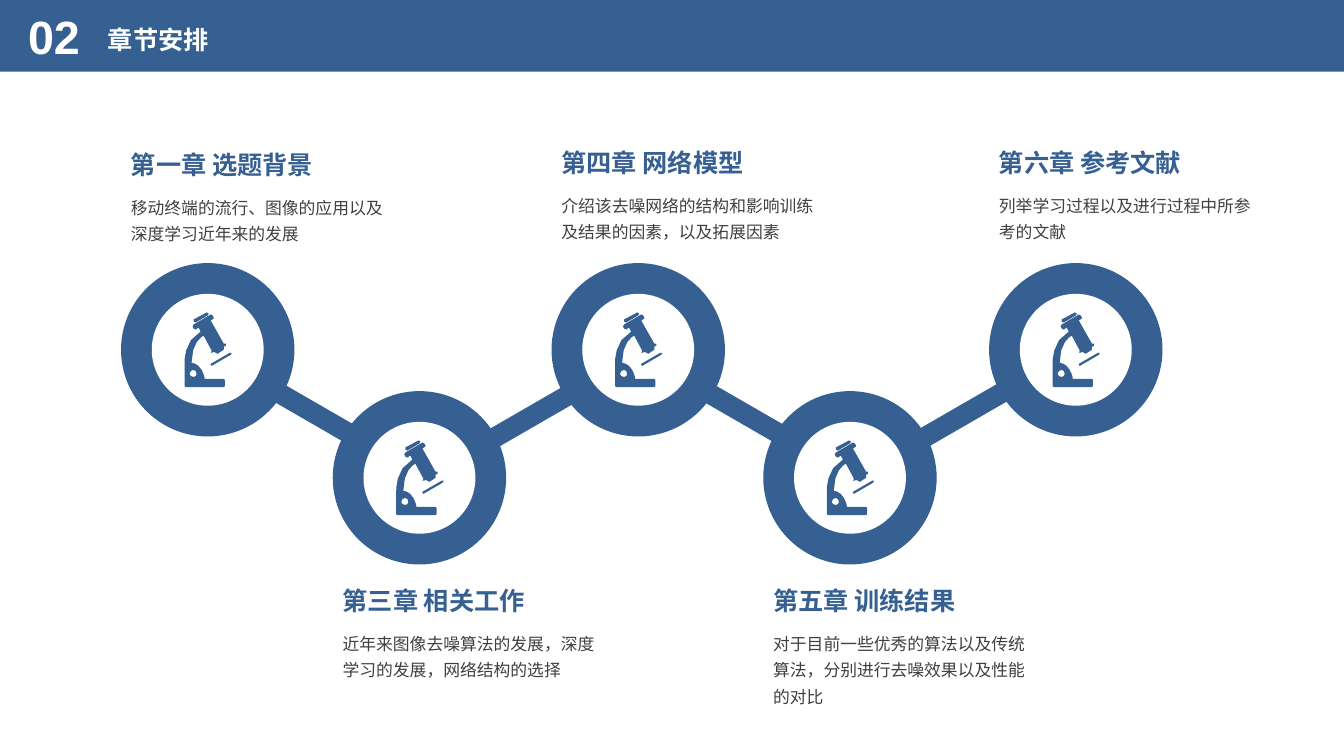
from math import ceil, dist

from pptx import Presentation
from pptx.dml.color import RGBColor
from pptx.enum.shapes import MSO_SHAPE
from pptx.enum.text import MSO_ANCHOR, MSO_AUTO_SIZE, PP_ALIGN
from pptx.util import Inches, Pt

BLUE, WHITE, GREY = "376092", "FFFFFF", "404040"
NUMBER, TITLE = "02", "章节安排"

CHAPTERS = [
    ("第一章 选题背景", "移动终端的流行、图像的应用以及深度学习近年来的发展", 1.2, 2.61, 1.43, 0.63),
    ("第三章 相关工作", "近年来图像去噪算法的发展，深度学习的发展，网络结构的选择", 3.3, 3.88, 5.76, 0.63),
    ("第四章 网络模型", "介绍该去噪网络的结构和影响训练及结果的因素，以及拓展因素", 5.47, 2.61, 1.41, 0.63),
    ("第五章 训练结果", "对于目前一些优秀的算法以及传统算法，分别进行去噪效果以及性能的对比", 7.57, 3.88, 5.76, 0.89),
    ("第六章 参考文献", "列举学习过程以及进行过程中所参考的文献", 9.81, 2.61, 1.41, 0.63),
]
RODS = [(2.6, 30), (4.81, 330), (6.86, 30), (9.07, 330)]

EYEPIECE = [(12, 9), (14, 10), (26, 3), (27, 1), (25, 0), (12, 7)]
PIVOT = [(12, 57), (14, 57, 15, 59, 15, 61), (15, 63, 14, 64, 12, 64),
         (10, 64, 8, 63, 8, 61), (8, 59, 10, 57, 12, 57)]
BODY = [(3, 50), (3, 73), (4, 74), (42, 74), (43, 73), (43, 67), (42, 66), (23, 66),
        (23, 64, 22, 61, 20, 57), (16, 50, 10, 50, 10, 50), (10, 30, 20, 24, 22, 23),
        (30, 38), (29, 40), (31, 40), (32, 39), (36, 41), (42, 37), (42, 34), (44, 33),
        (44, 31), (42, 31), (29, 8), (32, 6), (32, 5), (31, 3), (29, 2), (12, 12),
        (11, 14), (12, 16), (14, 17), (17, 15), (19, 19), (2, 28, 3, 50, 3, 50)]
STAGE = [(29, 52), (30, 53), (49, 42), (50, 40), (48, 40), (29, 51)]
MICROSCOPE = [[EYEPIECE], [PIVOT, BODY], [STAGE]]

RING, LENS = 1.72, 1.11


def paint(shape, color):
    shape.shadow.inherit = False
    shape.fill.solid()
    shape.fill.fore_color.rgb = RGBColor.from_string(color)
    shape.line.fill.background()
    return shape


def add_preset(shapes, kind, left, top, width, height, color):
    return paint(shapes.add_shape(kind, *map(Inches, (left, top, width, height))), color)


def flatten(outline):
    points = [outline[0]]
    for segment in outline[1:]:
        if len(segment) == 2:
            points.append(segment)
            continue
        corners = [points[-1], segment[:2], segment[2:4], segment[4:]]
        steps = min(4, ceil(dist(corners[0], corners[3]) / 4))
        for step in range(1, steps + 1):
            t = step / steps
            weights = ((1 - t) ** 3, 3 * t * (1 - t) ** 2, 3 * t * t * (1 - t), t ** 3)
            points.append(tuple(sum(w * c[axis] for w, c in zip(weights, corners))
                                for axis in (0, 1)))
    return [(x * 10, y * 10) for x, y in points]


def add_microscope(shapes, left, top):
    for part in MICROSCOPE:
        first, *others = map(flatten, part)
        builder = shapes.build_freeform(*first[0], scale=Inches(0.001))
        builder.add_line_segments(first[1:], close=True)
        for outline in others:
            builder.move_to(*outline[0])
            builder.add_line_segments(outline[1:], close=True)
        paint(builder.convert_to_shape(Inches(left), Inches(top)), BLUE)


def write(box, text, size, color, bold=False, spacing=1.0, wrap=True, anchor=MSO_ANCHOR.TOP):
    frame = box.text_frame
    frame.word_wrap = wrap
    frame.auto_size = MSO_AUTO_SIZE.NONE
    frame.vertical_anchor = anchor
    paragraph = frame.paragraphs[0]
    paragraph.alignment = PP_ALIGN.LEFT
    paragraph.line_spacing = spacing
    run = paragraph.add_run()
    run.text = text
    run.font.name = "Arial"
    run.font.size = Pt(size)
    run.font.bold = bold
    run.font.color.rgb = RGBColor.from_string(color)


def add_text(shapes, left, top, width, height, *content, **style):
    write(shapes.add_textbox(*map(Inches, (left, top, width, height))), *content, **style)


def add_chapter(slide, heading, summary, left, top, heading_top, summary_height):
    shapes = slide.shapes.add_group_shape().shapes
    inset = (RING - LENS) / 2
    add_preset(shapes, MSO_SHAPE.OVAL, left, top, RING, RING, BLUE)
    add_preset(shapes, MSO_SHAPE.OVAL, left + inset, top + inset, LENS, LENS, WHITE)
    add_microscope(shapes, left + 0.6, top + 0.49)
    add_text(shapes, left, heading_top + 0.42, 2.77, summary_height, summary, 12, GREY, spacing=1.3)
    add_text(shapes, left, heading_top, 2.04, 0.4, heading, 18, BLUE, bold=True, wrap=False)


def main():
    deck = Presentation()
    deck.slide_width, deck.slide_height = Inches(13.33), Inches(7.5)
    slide = deck.slides.add_slide(deck.slide_layouts[5])

    band = add_preset(slide.shapes, MSO_SHAPE.RECTANGLE, 0, 0, 13.33, 0.71, BLUE)
    title = slide.shapes.title
    title._element.addprevious(band._element)
    title.left, title.top, title.width, title.height = map(Inches, (0.97, 0.22, 4.18, 0.4))
    write(title, TITLE, 18, WHITE, bold=True, spacing=0.9)
    add_text(slide.shapes, 0.18, 0.16, 0.79, 0.53, NUMBER, 33.3, WHITE,
             bold=True, spacing=0.7, anchor=MSO_ANCHOR.MIDDLE)

    for left, angle in RODS:
        rod = add_preset(slide.shapes, MSO_SHAPE.RECTANGLE, left, 4, 1.03, 0.2, BLUE)
        rod.rotation = angle
    for chapter in CHAPTERS:
        add_chapter(slide, *chapter)
    deck.save("out.pptx")


if __name__ == "__main__":
    main()
